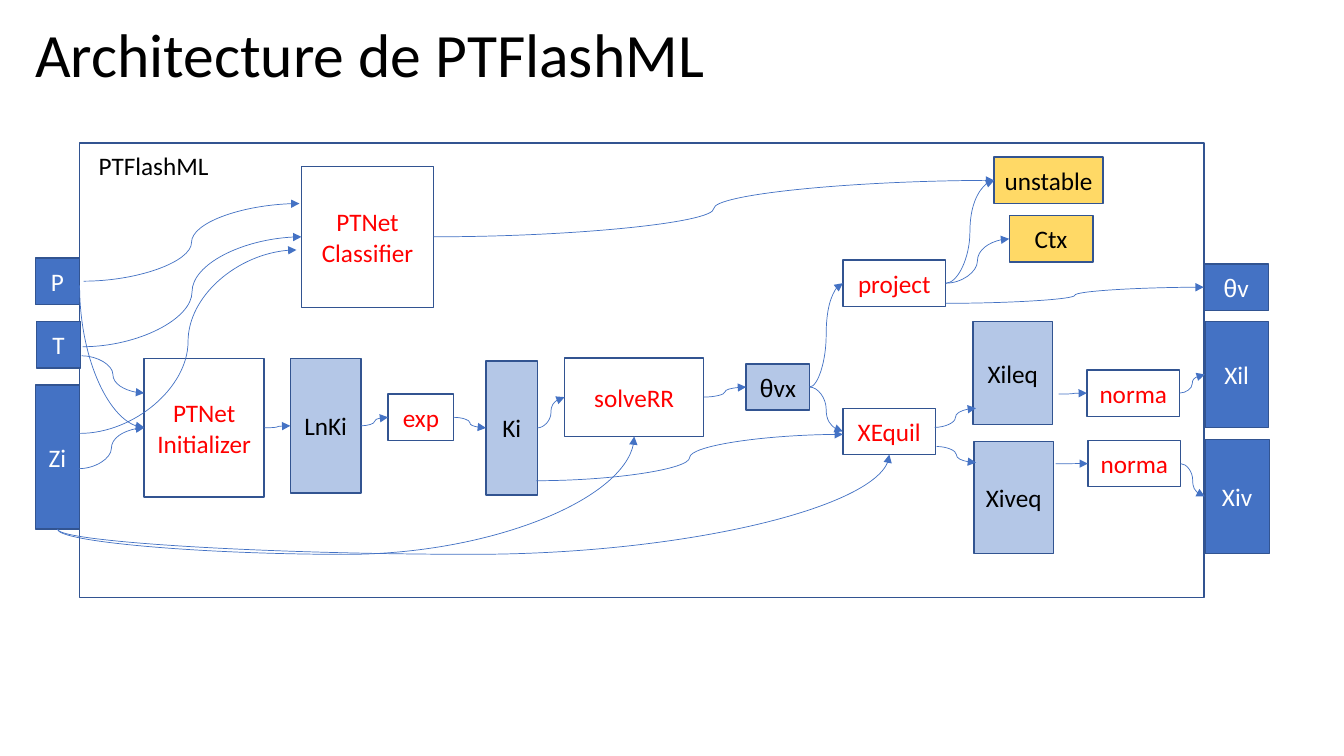
from lxml import etree
from pptx import Presentation
from pptx import util as u
from pptx.dml.color import RGBColor
from pptx.enum import shapes, text
from pptx.oxml import ns

THEME = {
    "port": "4472C4", "data": "B4C7E7", "result": "FFD966",
    "edge": "325491", "arrow": "4472C4",
    "white": "FFFFFF", "black": "000000", "red": "FF0000",
    "font": "Calibri", "greek_font": "Arial",
    "title_size": 44, "body_size": 18, "edge_width": 1, "arrow_width": 0.5,
}
# Each kind of box: fill, text colour
KINDS = {
    "port": (THEME["port"], THEME["white"]),
    "data": (THEME["data"], THEME["black"]),
    "result": (THEME["result"], THEME["black"]),
    "step": (None, THEME["red"]),
}

presentation = Presentation()
presentation.slide_width = u.Inches(13.33)
presentation.slide_height = u.Inches(7.5)
slide = presentation.slides.add_slide(presentation.slide_layouts[6])
CELL = presentation.slide_width / 133.3  # square grid, 75 rows


def write_text(shape, content, *, size=THEME["body_size"], color=THEME["black"],
               align=text.PP_ALIGN.LEFT, anchor=text.MSO_ANCHOR.MIDDLE, spacing=None):
    frame = shape.text_frame
    frame.word_wrap = True
    frame.vertical_anchor = anchor
    for index, line in enumerate(content.split("\n")):
        paragraph = frame.add_paragraph() if index else frame.paragraphs[0]
        paragraph.alignment = align
        paragraph.line_spacing = spacing
        greek = "θ" if line.startswith("θ") else ""
        parts = ((greek, THEME["greek_font"]), (line[len(greek):], THEME["font"]))
        for part, font_name in parts:
            if part:
                run = paragraph.add_run()
                run.text = part
                run.font.name = font_name
                run.font.size = u.Pt(size)
                run.font.color.rgb = RGBColor.from_string(color)


def draw_arrow(start, end):
    """Join two ends, each a box name (right side to left side) or a grid point."""
    ends = [(0, 0) if isinstance(place, str) else place for place in (start, end)]
    connector = slide.shapes.add_connector(
        shapes.MSO_CONNECTOR.CURVE, *[int(value * CELL) for point in ends for value in point])
    if isinstance(start, str):
        connector.begin_connect(boxes[start], 3)
    if isinstance(end, str):
        connector.end_connect(boxes[end], 1)
    connector.line.color.rgb = RGBColor.from_string(THEME["arrow"])
    connector.line.width = u.Pt(THEME["arrow_width"])
    etree.SubElement(connector.line._get_or_add_ln(), ns.qn("a:tailEnd"), type="triangle")
    etree.SubElement(connector._element.spPr, ns.qn("a:effectLst"))
    return connector


# Title and frame label
title = slide.shapes.add_textbox(*[int(v * CELL) for v in (2.5, 0.6, 96.6, 10.2)])
write_text(title, "Architecture de PTFlashML", size=THEME["title_size"], spacing=0.9)
label = slide.shapes.add_textbox(*[int(v * CELL) for v in (8.8, 14.4, 15.2, 4)])
write_text(label, "PTFlashML", anchor=text.MSO_ANCHOR.TOP)

# Boxes: name, text, kind, left, top, width, height in grid cells
BOXES = [
    ("frame", "", "step", 7.9, 14.2, 111.5, 45.1),
    ("P", "P", "port", 3.5, 25.6, 4.4, 4.6),
    ("T", "T", "port", 3.6, 31.9, 4.4, 4.6),
    ("Zi", "Zi", "port", 3.5, 38.2, 4.4, 14.3),
    ("classifier", "PTNet\nClassifier", "step", 29.9, 16.5, 13.1, 14),
    ("initializer", "PTNet\nInitializer", "step", 14.3, 35.6, 11.9, 13.7),
    ("LnKi", "LnKi", "data", 28.8, 35.6, 7, 13.3),
    ("exp", "exp", "step", 38.5, 39.1, 6.5, 4.6),
    ("Ki", "Ki", "data", 48.2, 35.8, 5.1, 13.3),
    ("solveRR", "solveRR", "step", 56, 35.5, 13.8, 7.8),
    ("θvx", "θvx", "data", 74, 36.1, 6.3, 4.6),
    ("XEquil", "XEquil", "step", 83.6, 40.5, 9.2, 4.6),
    ("project", "project", "step", 83.6, 25.8, 10.2, 4.6),
    ("unstable", "unstable", "result", 98.6, 15.6, 10.8, 4.6),
    ("Ctx", "Ctx", "result", 100.1, 21.4, 8.3, 4.6),
    ("Xileq", "Xileq", "data", 96.5, 31.9, 7.9, 10.2),
    ("Xiveq", "Xiveq", "data", 96.6, 43.8, 7.9, 11.1),
    ("norma Xil", "norma", "step", 107.8, 36.7, 9.2, 4.6),
    ("norma Xiv", "norma", "step", 107.9, 43.7, 9.2, 4.6),
    ("θv", "θv", "port", 119.4, 26.2, 6.4, 4.6),
    ("Xil", "Xil", "port", 119.5, 31.9, 6.3, 10.5),
    ("Xiv", "Xiv", "port", 119.5, 43.6, 6.4, 11.3),
]
boxes = {}
for name, content, kind, *place in BOXES:
    fill, color = KINDS[kind]
    box = slide.shapes.add_shape(
        shapes.MSO_SHAPE.RECTANGLE, *[int(value * CELL) for value in place])
    box.shadow.inherit = False
    if fill:
        box.fill.solid()
        box.fill.fore_color.rgb = RGBColor.from_string(fill)
    else:
        box.fill.background()
    box.line.color.rgb = RGBColor.from_string(THEME["edge"])
    box.line.width = u.Pt(THEME["edge_width"])
    if content:
        write_text(box, content, color=color, align=text.PP_ALIGN.CENTER)
    boxes[name] = box

# S-shaped arrows
ARROWS = [
    ((8.3, 27.9), (29.7, 20.2)), ((8.2, 34.4), "classifier"), ((7.9, 43), (29.4, 24.8)),
    ((8.1, 35.3), (14.3, 39)), ((7.8, 46.5), "initializer"),
    ("initializer", "LnKi"), ("LnKi", "exp"), ("exp", "Ki"), ("Ki", "solveRR"),
    ("solveRR", "θvx"), ("θvx", "XEquil"), ("θvx", "project"),
    ((53.2, 47.7), (83.6, 43.1)),
    ("classifier", "unstable"), ("project", "unstable"), ("project", "Ctx"),
    ((93.8, 30.1), "θv"),
    ((92.7, 42.4), (96.8, 40.5)), ((92.9, 44.3), (96.8, 45.9)),
    ((105, 39.1), "norma Xil"), ((104.7, 46), "norma Xiv"),
    ("norma Xil", "Xil"), ("norma Xiv", "Xiv"),
]
for start, end in ARROWS:
    draw_arrow(start, end)

# Arrows that leave vertically: start, end, dip below the start, turn, flips
VERTICAL_ARROWS = [
    ((5.7, 52.5), (62.9, 43.3), 2.5, 90, ("flipH", "flipV")),
    ((5.7, 52.5), (88.2, 45.1), 2.5, 90, ("flipH", "flipV")),
    ((7.9, 28.3), (14.3, 42.4), 0, 270, ("flipH",)),
]
for start, end, dip, turn, flips in VERTICAL_ARROWS:
    arrow = draw_arrow(start, end)
    length, breadth = abs(end[1] - start[1]), abs(end[0] - start[0])
    arrow.left = int(((start[0] + end[0]) - length) / 2 * CELL)
    arrow.top = int(((start[1] + end[1]) - breadth) / 2 * CELL)
    arrow.width, arrow.height = int(length * CELL), int(breadth * CELL)
    transform = arrow._element.spPr.xfrm
    transform.set("rot", str(turn * 60000))
    for flip in ("flipH", "flipV"):
        transform.set(flip, "1" if flip in flips else "0")
    geometry = arrow._element.spPr.find(ns.qn("a:prstGeom"))
    if dip:
        guides = geometry.find(ns.qn("a:avLst"))
        etree.SubElement(guides, ns.qn("a:gd"), name="adj1",
                         fmla=f"val {round(-dip / length * 100000)}")
    else:
        geometry.set("prst", "curvedConnector2")

presentation.save("out.pptx")
